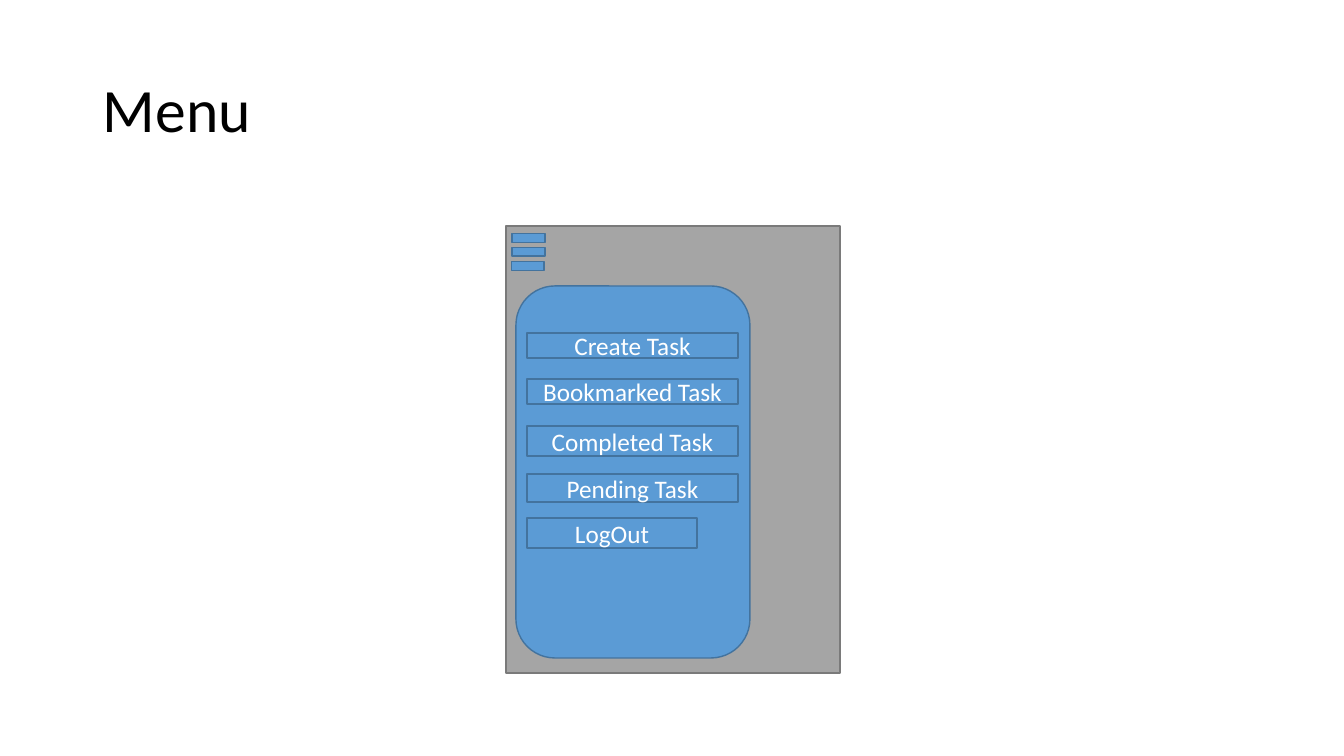
from dataclasses import dataclass

from pptx import Presentation
from pptx.dml.color import RGBColor
from pptx.enum.shapes import MSO_SHAPE
from pptx.enum.text import MSO_ANCHOR, PP_ALIGN
from pptx.util import Emu, Pt

RECT = MSO_SHAPE.RECTANGLE
EQUAL = MSO_SHAPE.MATH_EQUAL
MINUS = MSO_SHAPE.MATH_MINUS
PANEL = MSO_SHAPE.FLOWCHART_ALTERNATE_PROCESS
ITEM = MSO_SHAPE.FLOWCHART_PROCESS
MIDDLE = MSO_ANCHOR.MIDDLE
LEFT, CENTER = PP_ALIGN.LEFT, PP_ALIGN.CENTER
SCALE = 914400 / 100.8


@dataclass(frozen=True)
class Theme:
    font: str = "Calibri"
    black: str = "000000"
    white: str = "FFFFFF"
    blue: str = "5B9BD5"
    navy: str = "43739E"
    gray: str = "A5A5A5"
    slate: str = "7A7A7A"
    title: int = 44
    body: int = 18
    line: int = 1


def px(*sizes):
    return [Emu(round(size * SCALE)) for size in sizes]


class Page:
    def __init__(self, slide, theme):
        self.slide = slide
        self.theme = theme

    def label(self, shape, words, size, color, align):
        frame = shape.text_frame
        frame.word_wrap = True
        frame.vertical_anchor = MIDDLE
        para = frame.paragraphs[0]
        para.alignment = align
        run = para.add_run()
        run.text = words
        run.font.name = self.theme.font
        run.font.size = Pt(size)
        run.font.color.rgb = RGBColor.from_string(color)
        return para

    def title(self, words, *box):
        shape = self.slide.shapes.add_textbox(*px(*box))
        para = self.label(shape, words, self.theme.title, self.theme.black, LEFT)
        para.line_spacing = 0.9

    def shape(self, kind, box, fill, edge):
        shape = self.slide.shapes.add_shape(kind, *px(*box))
        shape.shadow.inherit = False
        shape.fill.solid()
        shape.fill.fore_color.rgb = RGBColor.from_string(fill)
        shape.line.color.rgb = RGBColor.from_string(edge)
        shape.line.width = Pt(self.theme.line)
        return shape

    def blue(self, kind, *box):
        return self.shape(kind, box, self.theme.blue, self.theme.navy)

    def item(self, words, *box):
        shape = self.blue(ITEM, *box)
        self.label(shape, words, self.theme.body, self.theme.white, CENTER)


deck = Presentation()
deck.slide_width, deck.slide_height = px(1344, 756)
theme = Theme()
page = Page(deck.slides.add_slide(deck.slide_layouts[6]), theme)

# Heading
page.title("Menu", 93, 40, 1159, 146)

# Phone screen
page.shape(RECT, (506, 226, 334, 447), theme.gray, theme.slate)

# Menu icon: two bars and one bar
page.blue(EQUAL, 506, 226, 45, 38)
page.blue(MINUS, 506, 246, 44, 40)

# Open menu panel
page.blue(PANEL, 516, 286, 234, 372)

# Menu items: label, top, width, height
ITEMS = [
    ("Create Task", 333, 211, 25),
    ("Bookmarked Task", 379, 211, 25),
    ("Completed Task", 426, 211, 30),
    ("Pending Task", 474, 211, 28),
    ("LogOut", 518, 170, 30),
]
for words, top, width, height in ITEMS:
    page.item(words, 527, top, width, height)

deck.save("out.pptx")
